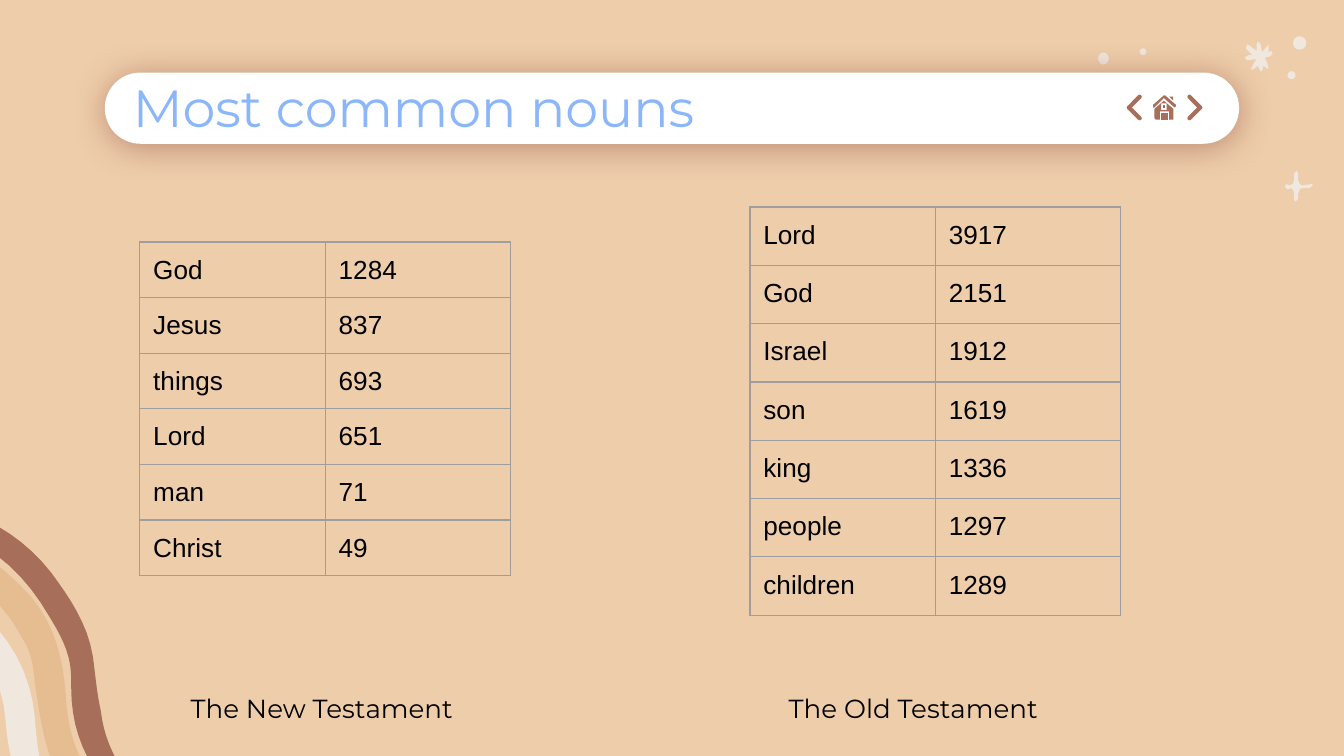
from lxml.etree import SubElement
from pptx import Presentation
from pptx.dml.color import RGBColor
from pptx.enum.shapes import MSO_CONNECTOR, MSO_SHAPE
from pptx.enum.text import MSO_ANCHOR
from pptx.oxml.ns import qn
from pptx.util import Emu, Pt

SCALE = 9144
SLIDE_WIDTH = 1000
COLUMN_WIDTH = 138
ROW_HEIGHT = 31
SAND = RGBColor(0xEE, 0xCD, 0xAA)
BROWN = RGBColor(0xA7, 0x6F, 0x5A)
TAN = RGBColor(0xE6, 0xBD, 0x91)
CREAM = RGBColor(0xF0, 0xE7, 0xDF)
WHITE = RGBColor(0xFF, 0xFF, 0xFF)
BLUE = RGBColor(0x8C, 0xB6, 0xFA)
BLACK = RGBColor(0, 0, 0)
GRAY = RGBColor(0x9E, 0x9E, 0x9E)

TITLE_FORMAT = {"name": "Montserrat", "size": Pt(28), "color": BLUE}
CAPTION_FORMAT = {"name": "Montserrat", "size": Pt(14), "color": BLACK}
CELL_FORMAT = {"name": "Arial", "size": Pt(14), "color": BLACK}
MARGINS = {f"margin_{side}": Emu(10 * SCALE) for side in ("left", "top", "right", "bottom")}
PLAIN_TABLE = {"first_row": False, "horz_banding": False}

WAVES = [
    (BROWN, (-121, 365), [
        (-121, 371, -121, 377, -121, 384), (-95, 384, -70, 387, -45, 393),
        (-13, 401, 12, 421, 30, 448), (38, 461, 47, 474, 51, 489),
        (53, 497, 53, 504, 53, 512), (53, 537, 60, 559, 75, 579),
        (80, 580), (94, 580), (94, 577), (84, 563, 77, 547, 75, 529),
        (72, 516, 71, 502, 69, 488), (65, 464, 52, 445, 38, 426),
        (20, 403, -3, 388, -30, 379), (-59, 369, -90, 368, -121, 365)]),
    (TAN, (-121, 390), [
        (-121, 413), (-115, 412, -110, 411, -105, 411), (-92, 412),
        (-45, 412, -6, 430, 19, 479), (25, 490, 25, 503, 27, 515),
        (30, 537, 34, 559, 44, 580), (68, 580), (64, 572),
        (54, 555, 50, 537, 49, 518), (47, 491, 41, 465, 23, 444),
        (-1, 417, -29, 399, -65, 393), (-81, 390, -97, 390, -114, 390)]),
    (CREAM, (-121, 417), [
        (-121, 438), (-115, 438), (-106, 438, -96, 439, -87, 441),
        (-66, 443, -48, 453, -32, 467), (-12, 485, 2, 507, 4, 535),
        (5, 550, 8, 565, 12, 579), (33, 580), (29, 565, 27, 550, 26, 535),
        (23, 500, 7, 473, -19, 451), (-41, 432, -68, 421, -97, 418),
        (-105, 418, -113, 418, -121, 417)]),
]
BURST = [(936, 31), (935, 33), (935, 38), (930, 34), (928, 33), (927, 36), (932, 41),
         (929, 41), (926, 43), (928, 45), (935, 44), (933, 47), (931, 51), (932, 52),
         (936, 49), (938, 53), (939, 53), (940, 49), (943, 51), (944, 51), (943, 47),
         (941, 43), (945, 42), (947, 40), (946, 38), (943, 39), (944, 38), (944, 33),
         (939, 39), (938, 33)]
SPARKLE = [(965, 127), (963, 129), (963, 134), (962, 137), (959, 138), (957, 137),
           (956, 139), (958, 141), (961, 140), (963, 143), (963, 147), (963, 149),
           (964, 150), (966, 148), (966, 144), (967, 141), (969, 140), (974, 140),
           (977, 138), (976, 137), (969, 138), (967, 137), (966, 134), (966, 129)]
DOTS = [(962, 27, 10, 10), (817, 39, 8, 9), (958, 53, 6, 6), (848, 36, 5, 5)]
HOME = [
    [[(870, 72), (873, 75), (873, 72)]],
    [[(864, 84), (864, 89), (869, 89), (869, 84)]],
    [[(865, 78), (865, 80), (867, 80), (867, 78)]],
    [[(866, 71), (858, 78), (858, 80), (859, 80), (866, 73), (874, 80), (875, 79),
      (875, 78), (867, 71)]],
    [[(866, 75), (859, 81), (859, 88), (860, 89), (863, 89), (863, 83), (870, 83),
      (870, 89), (873, 89), (873, 81)],
     [(868, 77), (868, 82), (864, 82), (864, 77)]],
]
TABLES = [
    ((104, 180), 8, [("God", "1284"), ("Jesus", "837"), ("things", "693"),
                     ("Lord", "651"), ("man", "71"), ("Christ", "49")]),
    ((558, 154), 10, [("Lord", "3917"), ("God", "2151"), ("Israel", "1912"),
                      ("son", "1619"), ("king", "1336"), ("people", "1297"),
                      ("children", "1289")]),
]
CAPTIONS = [("The New Testament", (132, 505, 221, 44)),
            ("The Old Testament", (577, 505, 239, 44))]


def px(*lengths):
    return [Emu(round(length * SCALE)) for length in lengths]


def apply_format(target, values):
    for name, value in values.items():
        if name == "color":
            target.color.rgb = value
        else:
            setattr(target, name, value)


def paint(shape, color):
    shape.shadow.inherit = False
    shape.fill.solid()
    shape.fill.fore_color.rgb = color
    shape.line.fill.background()


def curve_points(start, segments, steps=8):
    points = [start]
    for segment in segments:
        if len(segment) == 2:
            points.append(segment)
            continue
        controls = [points[-1], segment[:2], segment[2:4], segment[4:]]
        for step in range(1, steps + 1):
            t = step / steps
            weights = ((1 - t) ** 3, 3 * t * (1 - t) ** 2, 3 * t * t * (1 - t), t ** 3)
            points.append(tuple(sum(weight * control[axis]
                                    for weight, control in zip(weights, controls))
                                for axis in (0, 1)))
    return points


def add_outline(slide, contours, color):
    first, *others = [[px(*point) for point in contour] for contour in contours]
    builder = slide.shapes.build_freeform(*first[0], scale=1.0)
    builder.add_line_segments(first[1:], close=True)
    for contour in others:
        builder.move_to(*contour[0])
        builder.add_line_segments(contour[1:], close=True)
    paint(builder.convert_to_shape(), color)


def add_preset(slide, kind, box, color):
    shape = slide.shapes.add_shape(kind, *px(*box))
    paint(shape, color)
    return shape


def add_title_bar(slide):
    bar = add_preset(slide, MSO_SHAPE.ROUNDED_RECTANGLE, (78, 54, 844, 53), WHITE)
    bar.adjustments[0] = 0.5
    effects = bar._element.spPr.find(qn("a:effectLst"))
    shadow = SubElement(effects, qn("a:outerShdw"), blurRad=str(Pt(18)),
                        dist=str(Pt(1.5)), dir="5400000", algn="bl", rotWithShape="0")
    color = SubElement(shadow, qn("a:srgbClr"), val=str(BROWN))
    SubElement(color, qn("a:alpha"), val="70000")


def add_text(slide, text, box, font_format, anchor=MSO_ANCHOR.TOP):
    frame = slide.shapes.add_textbox(*px(*box)).text_frame
    apply_format(frame, {**MARGINS, "word_wrap": True, "vertical_anchor": anchor})
    run = frame.paragraphs[0].add_run()
    run.text = text
    apply_format(run.font, font_format)


def add_chevron(slide, open_x, tip_x):
    for open_y in (72, 88):
        line = slide.shapes.add_connector(MSO_CONNECTOR.STRAIGHT,
                                          *px(open_x, open_y, tip_x, 80))
        apply_format(line.line, {"width": Pt(2.25), "color": BROWN})
        properties = line._element.spPr
        properties.find(qn("a:ln")).set("cap", "rnd")
        SubElement(properties, qn("a:effectLst"))


def format_cell(cell, text, bottom):
    apply_format(cell, {**MARGINS, "margin_bottom": Emu(bottom * SCALE)})
    run = cell.text_frame.paragraphs[0].add_run()
    run.text = text
    apply_format(run.font, CELL_FORMAT)
    properties = cell._tc.get_or_add_tcPr()
    for side in ("lnL", "lnR", "lnT", "lnB"):
        border = SubElement(properties, qn(f"a:{side}"), w=str(Pt(0.75)))
        fill = SubElement(border, qn("a:solidFill"))
        SubElement(fill, qn("a:srgbClr"), val=str(GRAY))
    cell.fill.background()


def add_noun_table(slide, position, bottom, rows):
    size = (2 * COLUMN_WIDTH, ROW_HEIGHT * len(rows))
    table = slide.shapes.add_table(len(rows), 2, *px(*position, *size)).table
    apply_format(table, PLAIN_TABLE)
    for row, texts in zip(table.rows, rows):
        for cell, text in zip(row.cells, texts):
            format_cell(cell, text, bottom)


def main():
    presentation = Presentation()
    presentation.slide_width, presentation.slide_height = px(SLIDE_WIDTH, SLIDE_WIDTH * 9 / 16)
    slide = presentation.slides.add_slide(presentation.slide_layouts[6])
    slide.background.fill.solid()
    slide.background.fill.fore_color.rgb = SAND
    for color, start, segments in WAVES:
        add_outline(slide, [curve_points(start, segments)], color)
    for star in (BURST, SPARKLE):
        add_outline(slide, [star], CREAM)
    for box in DOTS:
        add_preset(slide, MSO_SHAPE.OVAL, box, CREAM)
    add_title_bar(slide)
    add_text(slide, "Most common nouns", (89, 62, 795, 35), TITLE_FORMAT, MSO_ANCHOR.MIDDLE)
    add_chevron(slide, 885, 893)
    add_chevron(slide, 848, 840)
    for contours in HOME:
        add_outline(slide, contours, BROWN)
    for (position, bottom, rows), (caption, box) in zip(TABLES, CAPTIONS):
        add_noun_table(slide, position, bottom, rows)
        add_text(slide, caption, box, CAPTION_FORMAT)
    presentation.save("out.pptx")


if __name__ == "__main__":
    main()
